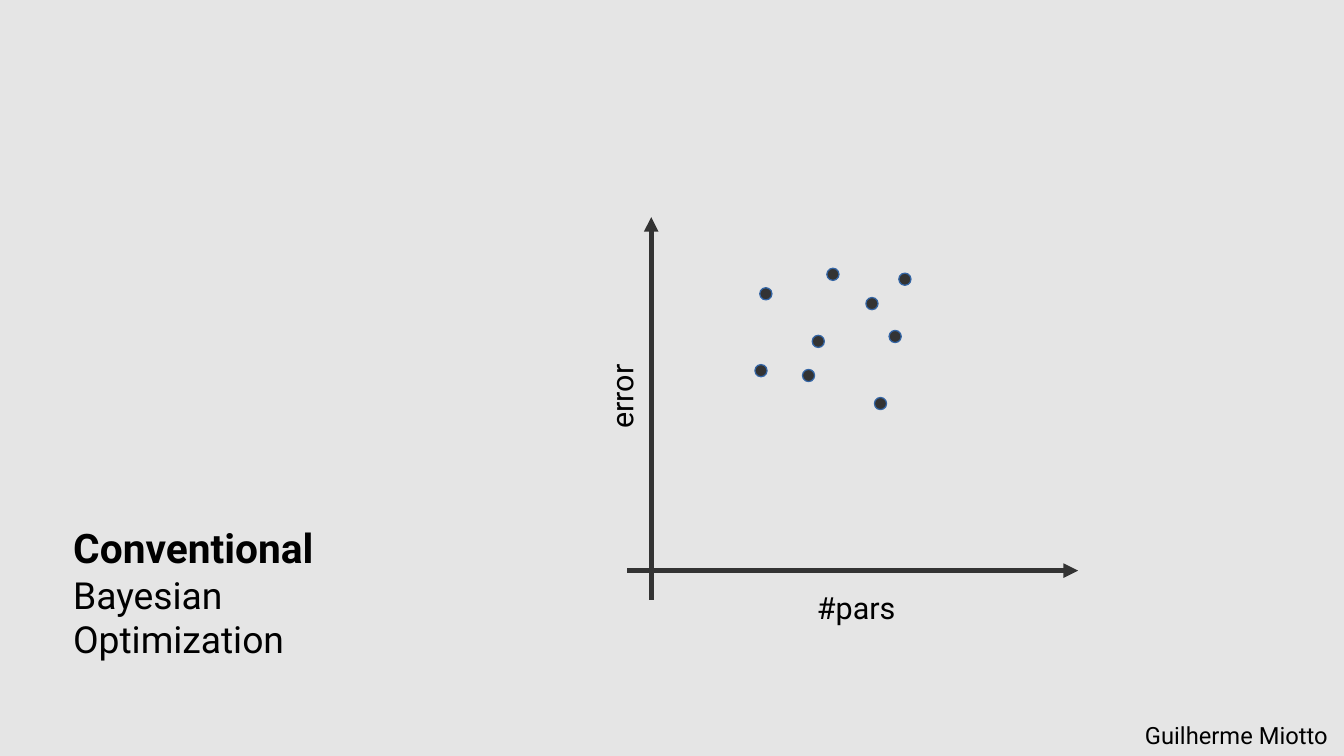
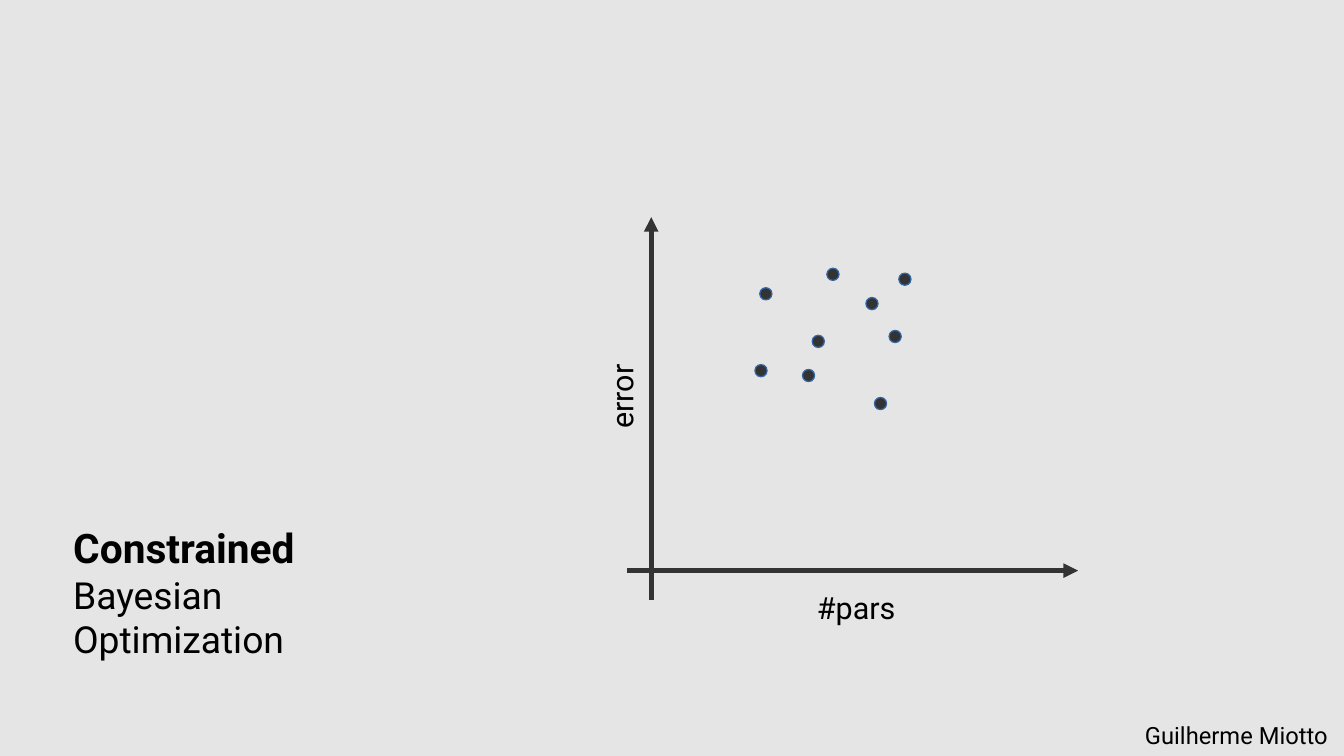
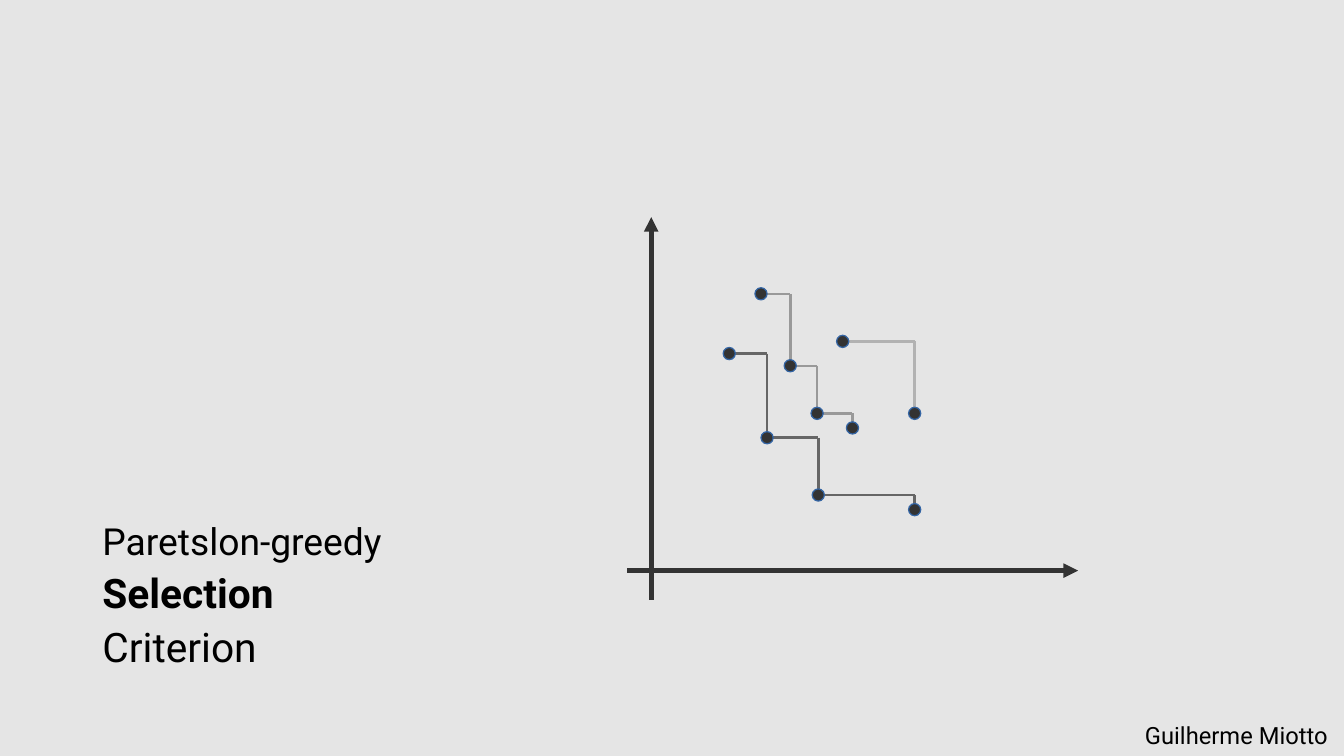
from itertools import pairwise

from pptx import Presentation
from pptx.dml.color import RGBColor
from pptx.enum.shapes import MSO_CONNECTOR, MSO_SHAPE
from pptx.enum.text import MSO_ANCHOR, MSO_AUTO_SIZE, PP_ALIGN
from pptx.oxml.ns import qn
from pptx.util import Inches, Pt
from lxml.etree import SubElement

BACKGROUND = RGBColor(0xE5, 0xE5, 0xE5)
BLACK = RGBColor(0x00, 0x00, 0x00)
CHARCOAL = RGBColor(0x33, 0x33, 0x33)
DOT_EDGE = RGBColor(0x34, 0x65, 0xA4)
FRONT_NEAR = RGBColor(0x66, 0x66, 0x66)
FRONT_MIDDLE = RGBColor(0x99, 0x99, 0x99)
FRONT_FAR = RGBColor(0xB2, 0xB2, 0xB2)

FONT = "Roboto"
AUTHOR = "Guilherme Miotto"
TITLE_ONLY = 5
DOT_SIZE = 0.1
AXIS_WIDTH = 2.89
FRONT_WIDTH = 1.45

# Dot centres, in inches on the slide.
SAMPLES = [(6.71, 2.8), (6.28, 2.41), (7.15, 2.49), (6.24, 3.04), (6.63, 3.08),
           (7.22, 3.31), (7.34, 2.76), (6.83, 2.25), (7.42, 2.29)]
FRONTS = [
    (FRONT_FAR, [(6.91, 2.8), (7.5, 3.39)]),
    (FRONT_NEAR, [(5.98, 2.9), (6.29, 3.59), (6.71, 4.06), (7.5, 4.18)]),
    (FRONT_MIDDLE, [(6.24, 2.41), (6.48, 3.0), (6.7, 3.39), (6.99, 3.51)]),
]


def write(frame, paragraphs, space=0):
    """Fill a text frame with (text, size, bold) paragraphs, with space between them."""
    frame.word_wrap = True
    frame.auto_size = MSO_AUTO_SIZE.NONE
    frame.vertical_anchor = MSO_ANCHOR.TOP
    for index, (text, size, bold) in enumerate(paragraphs):
        para = frame.add_paragraph() if index else frame.paragraphs[0]
        para.alignment = PP_ALIGN.LEFT
        para.space_before = Pt(space if index else 0)
        span = para.add_run()
        span.text = text
        span.font.name = FONT
        span.font.size = Pt(size)
        span.font.bold = bold
        span.font.color.rgb = BLACK


def add_label(slide, text, left, top, width, height, size=18, rotation=0):
    box = slide.shapes.add_textbox(Inches(left), Inches(top), Inches(width), Inches(height))
    box.rotation = rotation
    write(box.text_frame, [(text, size, False)])


def set_title(slide, paragraphs, left, top, width, height, space=0):
    title = slide.shapes.title
    title.left, title.top = Inches(left), Inches(top)
    title.width, title.height = Inches(width), Inches(height)
    write(title.text_frame, paragraphs, space=space)


def add_line(shapes, start, end, color, width, arrow=False):
    """Draw a straight line, with an optional arrowhead at its start."""
    line = shapes.add_connector(MSO_CONNECTOR.STRAIGHT, *map(Inches, start + end))
    line.line.color.rgb = color
    line.line.width = Pt(width)
    properties = line._element.spPr
    if arrow:
        SubElement(properties.find(qn("a:ln")), qn("a:headEnd"), type="triangle")
    SubElement(properties, qn("a:effectLst"))


def add_axes(slide):
    for tip, base in [((5.34, 1.78), (5.34, 4.92)), ((8.84, 4.68), (5.14, 4.68))]:
        add_line(slide.shapes, tip, base, CHARCOAL, AXIS_WIDTH, arrow=True)


def add_dots(slide, centres):
    for x, y in centres:
        dot = slide.shapes.add_shape(
            MSO_SHAPE.OVAL, Inches(x - DOT_SIZE / 2), Inches(y - DOT_SIZE / 2),
            Inches(DOT_SIZE), Inches(DOT_SIZE))
        dot.shadow.inherit = False
        dot.fill.solid()
        dot.fill.fore_color.rgb = CHARCOAL
        dot.line.color.rgb = DOT_EDGE
        dot.line.width = Pt(0)


def add_front(slide, color, centres):
    """Join the dots of a Pareto front by a staircase: first right, then down."""
    group = slide.shapes.add_group_shape()
    for start, end in pairwise(centres):
        corner = (end[0], start[1])
        add_line(group.shapes, start, corner, color, FRONT_WIDTH)
        add_line(group.shapes, corner, end, color, FRONT_WIDTH)


def add_slide(deck):
    slide = deck.slides.add_slide(deck.slide_layouts[TITLE_ONLY])
    add_label(slide, AUTHOR, 9.29, 5.86, 1.73, 0.34, size=14)
    return slide


def add_samples_slide(deck, method):
    slide = add_slide(deck)
    set_title(slide, [(method, 24, True), ("Bayesian", 22, False), ("Optimization", 22, False)],
              0.5, 4.24, 2.6, 1.61)
    add_axes(slide)
    add_dots(slide, SAMPLES)
    add_label(slide, "#pars", 6.6, 4.78, 0.88, 0.44)
    add_label(slide, "error", 4.72, 3, 0.79, 0.44, rotation=270)


def add_fronts_slide(deck):
    slide = add_slide(deck)
    set_title(slide, [("Paretslon-greedy", 22, False), ("Selection", 24, True),
                      ("Criterion", 24, False)],
              0.74, 4.2, 2.65, 1.51, space=2.9)
    for color, centres in FRONTS:
        add_front(slide, color, centres)
    add_axes(slide)
    for _, centres in FRONTS:
        add_dots(slide, centres)


def main():
    deck = Presentation()
    deck.slide_width, deck.slide_height = Inches(11.02), Inches(6.2)
    background = deck.slide_master.background.fill
    background.solid()
    background.fore_color.rgb = BACKGROUND
    for method in ("Conventional", "Constrained"):
        add_samples_slide(deck, method)
    add_fronts_slide(deck)
    deck.save("out.pptx")


if __name__ == "__main__":
    main()
